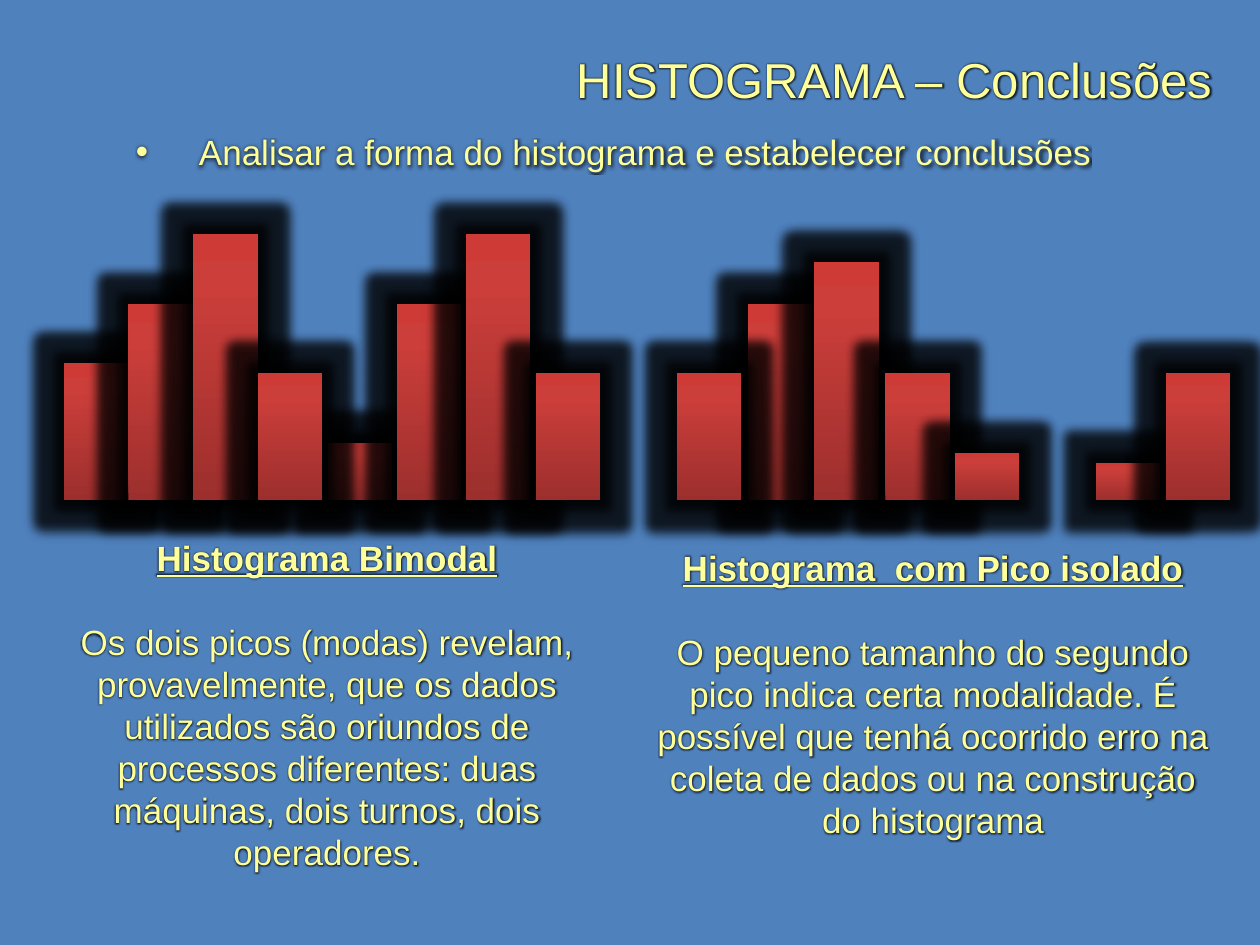
from dataclasses import dataclass

from lxml.etree import SubElement
from pptx import Presentation
from pptx.dml.color import RGBColor
from pptx.enum.shapes import MSO_SHAPE as Shape
from pptx.enum.text import MSO_ANCHOR as Anchor, MSO_AUTO_SIZE as AutoSize, PP_ALIGN as Align
from pptx.oxml.ns import qn
from pptx.util import Pt

COLORS = {"background": "4F81BD", "text": "FFFF99", "dark": "9C2F2D",
          "mid": "CB3E3A", "light": "CE3B37", "halo": "000000"}
BAR_STOPS = [(0, "dark"), (80, "mid"), (100, "light")]
FONT = "Arial"
BAR_WIDTH = 36.8
BASELINE = 285.8


@dataclass
class Bar:
    left: float
    height: float


@dataclass
class Panel:
    box: tuple[float, float, float, float]
    heading: str
    body: str
    bars: list[Bar]


# Bars are listed from back to front, since their halos overlap
PANELS = [
    Panel((31, 303.1, 311.8, 200.9), "Histograma Bimodal",
          "Os dois picos (modas) revelam, provavelmente, que os dados utilizados são "
          "oriundos de processos diferentes: duas máquinas, dois turnos, dois operadores.",
          [Bar(187.2, 32.8), Bar(226.8, 112.3), Bar(36.6, 78.5), Bar(73.4, 112.3),
           Bar(110.4, 152), Bar(147.4, 72.7), Bar(266.4, 152), Bar(306.2, 72.7)]),
    Panel((365.8, 308.9, 334.8, 177.1), "Histograma  com Pico isolado",
          "O pequeno tamanho do segundo pico indica certa modalidade. É possível que tenhá "
          "ocorrido erro na coleta de dados ou na construção do histograma",
          [Bar(427.2, 112.3), Bar(465.3, 136), Bar(506, 72.7), Bar(545.6, 27),
           Bar(386.8, 72.7), Bar(626.4, 21.4), Bar(666.2, 72.7)]),
]


def add_color(parent, name: str, alpha: int = 100) -> None:
    clr = SubElement(parent, qn("a:srgbClr"), val=COLORS[name])
    if alpha < 100:
        SubElement(clr, qn("a:alpha"), val=str(alpha * 1000))


def add_glow(effects, radius: float, alpha: int) -> None:
    glow = SubElement(effects, qn("a:glow"), rad=str(Pt(radius)))
    add_color(glow, "halo", alpha)


def write(p, text: str, *, size: float = 20, bold: bool = False, underline: bool = False,
          align=Align.LEFT, before: float = 0, spacing=None) -> None:
    p.alignment = align
    p.space_before = Pt(before)
    p.line_spacing = spacing
    r = p.add_run()
    r.text = text
    r.font.size, r.font.name = Pt(size), FONT
    r.font.bold, r.font.underline = bold, underline
    r.font.color.rgb = RGBColor.from_string(COLORS["text"])
    # Glow sits directly after the text fill
    rpr = r.font._element
    effects = SubElement(rpr, qn("a:effectLst"))
    rpr.find(qn("a:solidFill")).addnext(effects)
    add_glow(effects, 3, 75)


def add_text_box(s, box: tuple[float, float, float, float]):
    tf = s.shapes.add_textbox(*map(Pt, box)).text_frame
    tf.word_wrap = True
    tf.auto_size = AutoSize.SHAPE_TO_FIT_TEXT
    return tf


def add_bar(s, bar: Bar) -> None:
    sp = s.shapes.add_shape(Shape.RECTANGLE, Pt(bar.left), Pt(BASELINE - bar.height),
                            Pt(BAR_WIDTH), Pt(bar.height))
    sp.line.fill.background()
    sp.fill.gradient()
    sp.fill.gradient_angle = 90
    sp.shadow.inherit = False
    spPr = sp._element.spPr
    stops = spPr.find(qn("a:gradFill")).find(qn("a:gsLst"))
    for stop in list(stops):
        stops.remove(stop)
    for position, name in BAR_STOPS:
        add_color(SubElement(stops, qn("a:gs"), pos=str(position * 1000)), name)
    effects = spPr.find(qn("a:effectLst"))
    add_glow(effects, 12, 75)
    shadow = SubElement(effects, qn("a:outerShdw"), blurRad=str(Pt(3.1)),
                        dist=str(Pt(1.8)), dir="5400000", rotWithShape="0")
    add_color(shadow, "halo", 35)


def add_panel(s, panel: Panel) -> None:
    for bar in panel.bars:
        add_bar(s, bar)
    tf = add_text_box(s, panel.box)
    write(tf.paragraphs[0], panel.heading, bold=True, underline=True,
          align=Align.CENTER, spacing=Pt(24))
    write(tf.add_paragraph(), panel.body, align=Align.CENTER, before=24, spacing=Pt(24))


def main() -> None:
    prs = Presentation()
    prs.slide_width, prs.slide_height = Pt(720), Pt(540)
    s = prs.slides.add_slide(prs.slide_layouts[5])
    s.background.fill.solid()
    s.background.fill.fore_color.rgb = RGBColor.from_string(COLORS["background"])

    # Title
    title = s.shapes.title
    title.left, title.top, title.width, title.height = map(Pt, (139.7, 24.5, 560.2, 41))
    tf = title.text_frame
    tf.word_wrap = True
    tf.auto_size = AutoSize.SHAPE_TO_FIT_TEXT
    tf.vertical_anchor = Anchor.TOP
    write(tf.paragraphs[0], "HISTOGRAMA – Conclusões", size=28, align=Align.RIGHT)

    # Bulleted instruction
    p = add_text_box(s, (70.6, 71.3, 599.8, 31.7)).paragraphs[0]
    pPr = p._p.get_or_add_pPr()
    pPr.set("marL", str(Pt(36)))
    pPr.set("indent", str(Pt(-36)))
    SubElement(pPr, qn("a:buFont"), typeface=FONT)
    SubElement(pPr, qn("a:buChar"), char="•")
    write(p, "Analisar a forma do histograma e estabelecer conclusões")

    # Histograms with their conclusions
    for panel in PANELS:
        add_panel(s, panel)

    prs.save("out.pptx")


if __name__ == "__main__":
    main()
